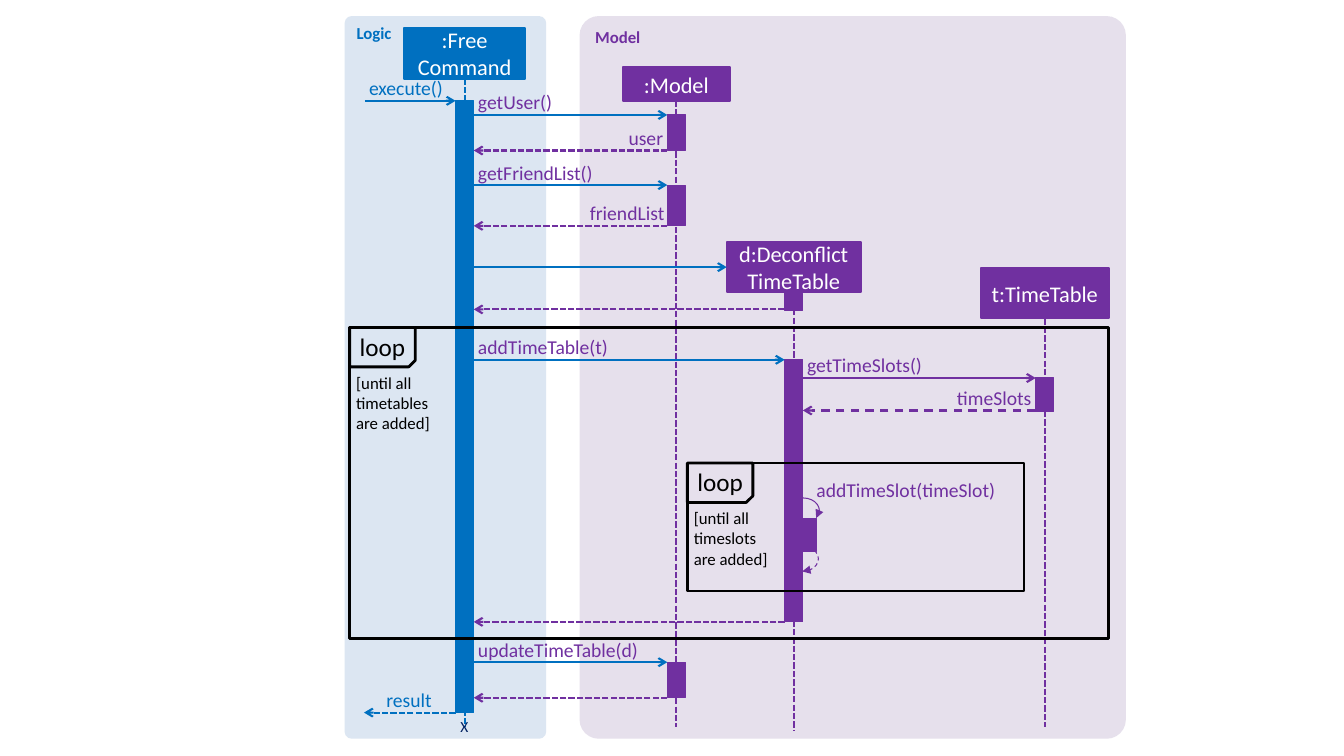
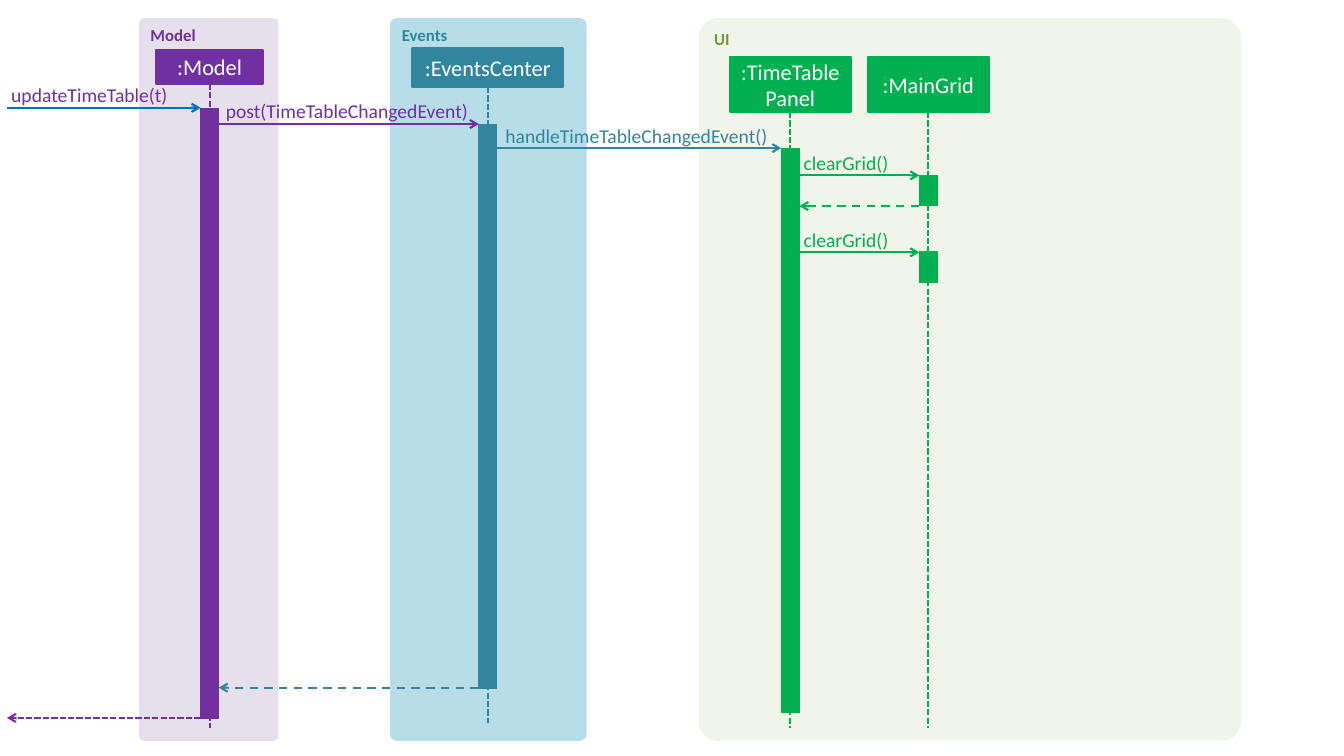
import dataclasses
import typing

import lxml.etree
import pptx
import pptx.dml.color
import pptx.enum.dml
import pptx.enum.shapes
import pptx.enum.text
import pptx.oxml.ns
import pptx.util

Pt = pptx.util.Pt
Kind = pptx.enum.shapes.MSO_SHAPE
Align = pptx.enum.text.PP_ALIGN
Anchor = pptx.enum.text.MSO_ANCHOR
Dash = pptx.enum.dml.MSO_LINE

FONT = "Calibri"
BLUE, PURPLE, TEAL, GREEN = "0070C0", "7030A0", "31859C", "00B050"
BLACK, WHITE, NAVY, OLIVE = "000000", "FFFFFF", "002060", "77933C"
LILAC, SKY, AQUA, LIME = "E6E0EC", "DCE6F2", "B7DEE8", "F1F5E9"
BAR = 13
RISE = 17.6
TALL = 17.3
DEEP = 516.2


@dataclasses.dataclass(frozen=True)
class Box:
    x: float
    y: float
    w: float
    h: float


@dataclasses.dataclass(frozen=True)
class Panel:
    text: str
    x: float
    y: float
    w: float
    fill: str
    tone: str


@dataclasses.dataclass(frozen=True)
class Bar:
    y: float
    h: float
    shift: float = 0


@dataclasses.dataclass(frozen=True)
class Life:
    text: str
    box: Box
    end: float
    tone: str
    bars: tuple[Bar, ...]

    @property
    def mid(self) -> float:
        return self.box.x + self.box.w / 2


End = typing.Union[Life, float]


@dataclasses.dataclass(frozen=True)
class Call:
    start: End
    stop: End
    y: float
    tone: str
    text: str = ""
    wide: float = 0
    tint: str = PURPLE
    dash: typing.Optional[Dash] = None
    gap: float = 3


@dataclasses.dataclass(frozen=True)
class Frame:
    box: Box
    guard: str


def paint(tone: str) -> pptx.dml.color.RGBColor:
    return pptx.dml.color.RGBColor.from_string(tone)


def tip(line, side: str, kind: str) -> None:
    tag = pptx.oxml.ns.qn(f"a:{side}")
    lxml.etree.SubElement(line.line._get_or_add_ln(), tag, type=kind)


def write(shape, text: str, size: float, tone: str, align=Align.LEFT,
          anchor=Anchor.TOP, bold: bool = False) -> None:
    frame = shape.text_frame
    frame.word_wrap = True
    frame.vertical_anchor = anchor
    for i, words in enumerate(text.split("\n")):
        para = frame.add_paragraph() if i else frame.paragraphs[0]
        para.alignment = align
        run = para.add_run()
        run.text = words
        font = run.font
        font.name, font.size, font.bold = FONT, Pt(size), bold
        font.color.rgb = paint(tone)


def form(slide, kind, box: Box, fill: str = "", edge: str = "", weight: float = 0.75):
    shape = slide.shapes.add_shape(kind, Pt(box.x), Pt(box.y), Pt(box.w), Pt(box.h))
    shape.shadow.inherit = False
    if fill:
        shape.fill.solid()
        shape.fill.fore_color.rgb = paint(fill)
    else:
        shape.fill.background()
    if edge:
        shape.line.color.rgb = paint(edge)
        shape.line.width = Pt(weight)
    else:
        shape.line.fill.background()
    return shape


def flip(shape) -> None:
    shape.element.spPr.get_or_add_xfrm().set("flipV", "1")


def note(slide, box: Box, text: str, size: float, tone: str,
         align=Align.LEFT, tight: bool = False):
    shape = slide.shapes.add_textbox(Pt(box.x), Pt(box.y), Pt(box.w), Pt(box.h))
    write(shape, text, size, tone, align)
    if tight:
        frame = shape.text_frame
        frame.margin_left = frame.margin_right = Pt(0)
        frame.margin_top = frame.margin_bottom = Pt(0)
    return shape


def stroke(slide, x: float, y: float, to_x: float, to_y: float, tone: str, dash=None):
    line = slide.shapes.add_connector(
        pptx.enum.shapes.MSO_CONNECTOR.STRAIGHT, Pt(x), Pt(y), Pt(to_x), Pt(to_y))
    line.line.color.rgb = paint(tone)
    line.line.width = Pt(1.5)
    if dash:
        line.line.dash_style = dash
    lxml.etree.SubElement(line.element.spPr, pptx.oxml.ns.qn("a:effectLst"))
    return line


def draw_panel(slide, panel: Panel) -> None:
    shape = form(slide, Kind.ROUNDED_RECTANGLE,
                 Box(panel.x, panel.y, panel.w, DEEP), panel.fill)
    shape.adjustments[0] = 0.035
    write(shape, panel.text, 12, panel.tone, bold=True)


def draw_life(slide, life: Life) -> None:
    box = life.box
    stroke(slide, life.mid, box.y + box.h, life.mid, life.end, life.tone, Dash.SQUARE_DOT)
    head = form(slide, Kind.RECTANGLE, box, life.tone, life.tone, 1.5)
    write(head, life.text, 16, WHITE, Align.CENTER, Anchor.MIDDLE)
    for bar in life.bars:
        left = life.mid - BAR / 2 + bar.shift
        form(slide, Kind.RECTANGLE, Box(left, bar.y, BAR, bar.h), life.tone, life.tone)


def place(end: End) -> float:
    return end.mid if isinstance(end, Life) else end


def edge(end: End, way: int) -> float:
    return place(end) + (way * BAR / 2 if isinstance(end, Life) else 0)


def draw_call(slide, call: Call) -> None:
    way = 1 if place(call.stop) > place(call.start) else -1
    start, stop = edge(call.start, way), edge(call.stop, -way)
    line = stroke(slide, start, call.y, stop, call.y, call.tone, call.dash)
    tip(line, "tailEnd", "arrow")
    if call.text:
        left = start + call.gap if way > 0 else start - call.gap - call.wide
        note(slide, Box(left, call.y - RISE, call.wide, TALL), call.text, 14, call.tint,
             Align.LEFT if way > 0 else Align.RIGHT, tight=True)


def draw_frame(slide, frame: Frame) -> None:
    box = frame.box
    form(slide, Kind.RECTANGLE, box, edge=BLACK, weight=2)
    flip(form(slide, Kind.SNIP_1_RECTANGLE, Box(box.x, box.y, 46.8, 28.1),
              edge=BLACK, weight=2))
    note(slide, Box(box.x, box.y - 1, 50.4, 28.8), "loop", 18, BLACK)
    note(slide, Box(box.x - 2.5, box.y + 28.5, 67, 51), frame.guard, 12, BLACK)


def draw_curve(slide, box: Box, back: bool) -> None:
    arc = form(slide, Kind.ARC, box, edge=PURPLE)
    arc.adjustments[0], arc.adjustments[1] = 161.728, 18.118
    if back:
        flip(arc)
        arc.line.dash_style = Dash.DASH
    tip(arc, "headEnd" if back else "tailEnd", "triangle")


def draw_scene(deck, panels: list[Panel], lives: list[Life], calls: list[Call]):
    slide = deck.slides.add_slide(deck.slide_layouts[6])
    for panel in panels:
        draw_panel(slide, panel)
    for life in lives:
        draw_life(slide, life)
    for call in calls:
        draw_call(slide, call)
    return slide


def build_logic(deck) -> None:
    free = Life(":Free\nCommand", Box(288.7, 20.2, 86.4, 36), 519.1, BLUE, (Bar(72, 437),))
    model = Life(":Model", Box(445, 48.2, 76.3, 23.8), 519.1, PURPLE,
                 (Bar(82.1, 25.2), Bar(132.5, 28.8), Bar(473, 25.2)))
    fixer = Life("d:Deconflict\nTimeTable", Box(519.1, 172.8, 95.8, 36), 522, PURPLE,
                 (Bar(209.5, 12.2), Bar(257, 187.2), Bar(370.1, 23.8, 9.4)))
    table = Life("t:TimeTable", Box(700.6, 191.5, 91.4, 36), 519.1, PURPLE,
                 (Bar(270, 23.8),))
    dots = Dash.SQUARE_DOT
    slide = draw_scene(deck, [
        Panel("Model", 414, 11.5, 390.2, LILAC, PURPLE),
        Panel("Logic", 246.2, 11.5, 144, SKY, BLUE),
    ], [free, model, fixer, table], [
        Call(260.6, free, 72, BLUE, "execute()", 57, BLUE),
        Call(free, model, 82.1, BLUE, "getUser()", 63),
        Call(model, free, 107.5, PURPLE, "user", 63, dash=dots),
        Call(free, model, 132.2, BLUE, "getFriendList()", 92),
        Call(model, free, 161.3, PURPLE, "friendList", 97, dash=dots, gap=2),
        Call(free, fixer.box.x, 190.8, BLUE),
        Call(fixer, free, 221, PURPLE, dash=dots),
        Call(free, fixer, 257, BLUE, "addTimeTable(t)", 145),
        Call(fixer, table, 270, PURPLE, "getTimeSlots()", 92),
        Call(table, fixer, 293.2, PURPLE, "timeSlots", 92, dash=Dash.DASH),
        Call(fixer, free, 444.2, PURPLE, dash=dots),
        Call(free, model, 473, BLUE, "updateTimeTable(d)", 118),
        Call(model, free, 498.4, PURPLE, dash=dots),
        Call(free, 260, 509, BLUE, "result", 49, BLUE, dots, 17),
    ])
    draw_curve(slide, Box(562.3, 355.7, 23, 18), back=False)
    draw_curve(slide, Box(561.6, 390.2, 23, 18), back=True)
    note(slide, Box(583.2, 341.3, 130, TALL), "addTimeSlot(timeSlot)", 14, PURPLE, tight=True)
    cross = note(slide, Box(321.8, 509, 20.2, 20.9), "X", 11, NAVY)
    cross.text_frame.word_wrap = False
    for frame in (
        Frame(Box(249.8, 234, 542.2, 221.8), "[until all timetables are added]"),
        Frame(Box(491, 330.8, 240.5, 91.4), "[until all timeslots are added]"),
    ):
        draw_frame(slide, frame)


def build_events(deck) -> None:
    model = Life(":Model", Box(111.6, 36, 76.3, 23.8), 519.8, PURPLE, (Bar(77.8, 435.6),))
    center = Life(":EventsCenter", Box(294.5, 34.6, 108, 27.4), 516.2, TEAL,
                  (Bar(88.6, 403.2),))
    pane = Life(":TimeTablePanel", Box(521.3, 41, 86.4, 38.9), 519.8, GREEN,
                (Bar(105.8, 403.2),))
    grid = Life(":MainGrid", Box(619.9, 41, 86.4, 38.9), 519.8, GREEN,
                (Bar(125.3, 21.6), Bar(180, 21.6)))
    draw_scene(deck, [
        Panel("UI", 499, 13, 387.4, LIME, OLIVE),
        Panel("Events", 278.6, 13, 140.4, AQUA, TEAL),
        Panel("Model", 99.4, 13, 99.4, LILAC, PURPLE),
    ], [model, center, pane, grid], [
        Call(5, model, 77, BLUE, "updateTimeTable(t)", 118),
        Call(model, center, 88.6, PURPLE, "post(TimeTableChangedEvent)", 178, gap=5),
        Call(center, pane, 105.8, TEAL, "handleTimeTableChangedEvent()", 194, TEAL, gap=6),
        Call(pane, grid, 125.3, GREEN, "clearGrid()", 62, GREEN),
        Call(grid, pane, 147.2, GREEN, dash=Dash.DASH),
        Call(pane, grid, 180.2, GREEN, "clearGrid()", 62, GREEN),
        Call(center, model, 491.2, TEAL, dash=Dash.DASH),
        Call(model, 5, 512.8, PURPLE, dash=Dash.SQUARE_DOT),
    ])


def main() -> None:
    deck = pptx.Presentation()
    deck.slide_width, deck.slide_height = Pt(960), Pt(540)
    build_logic(deck)
    build_events(deck)
    deck.save("out.pptx")


if __name__ == "__main__":
    main()
